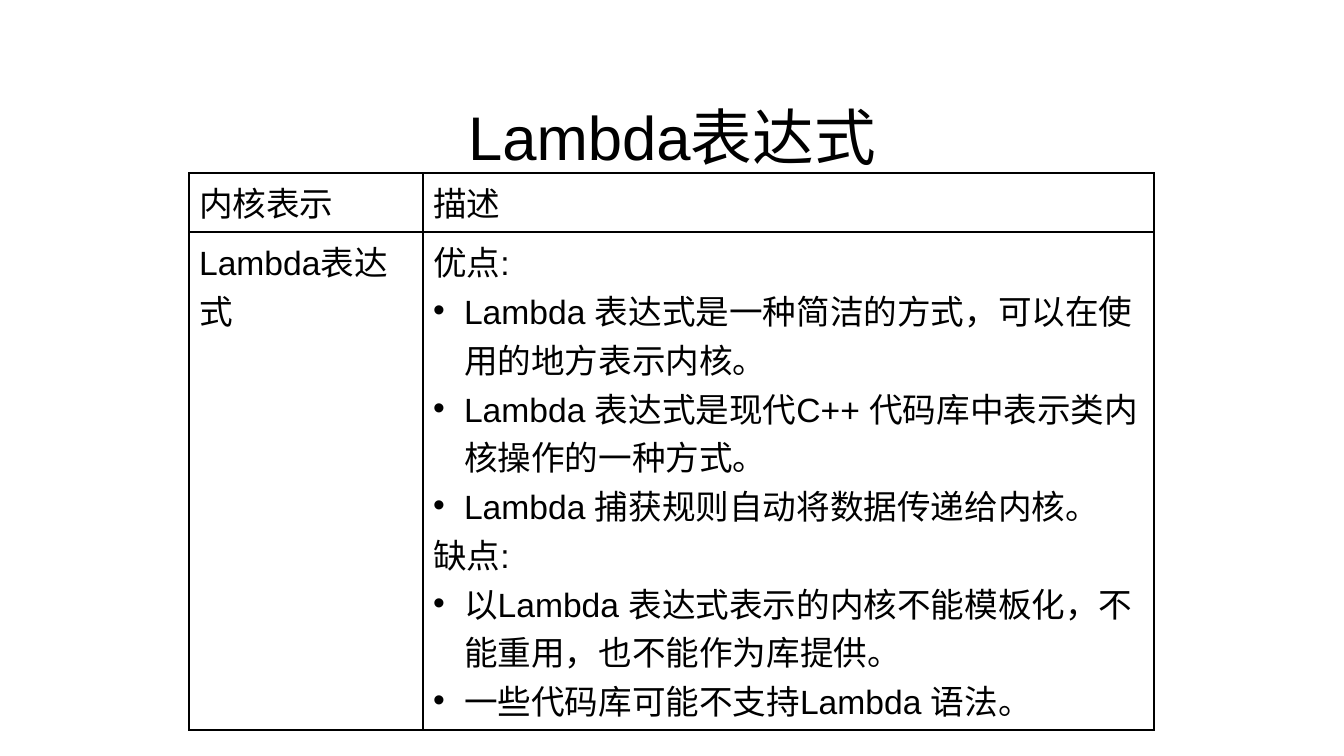
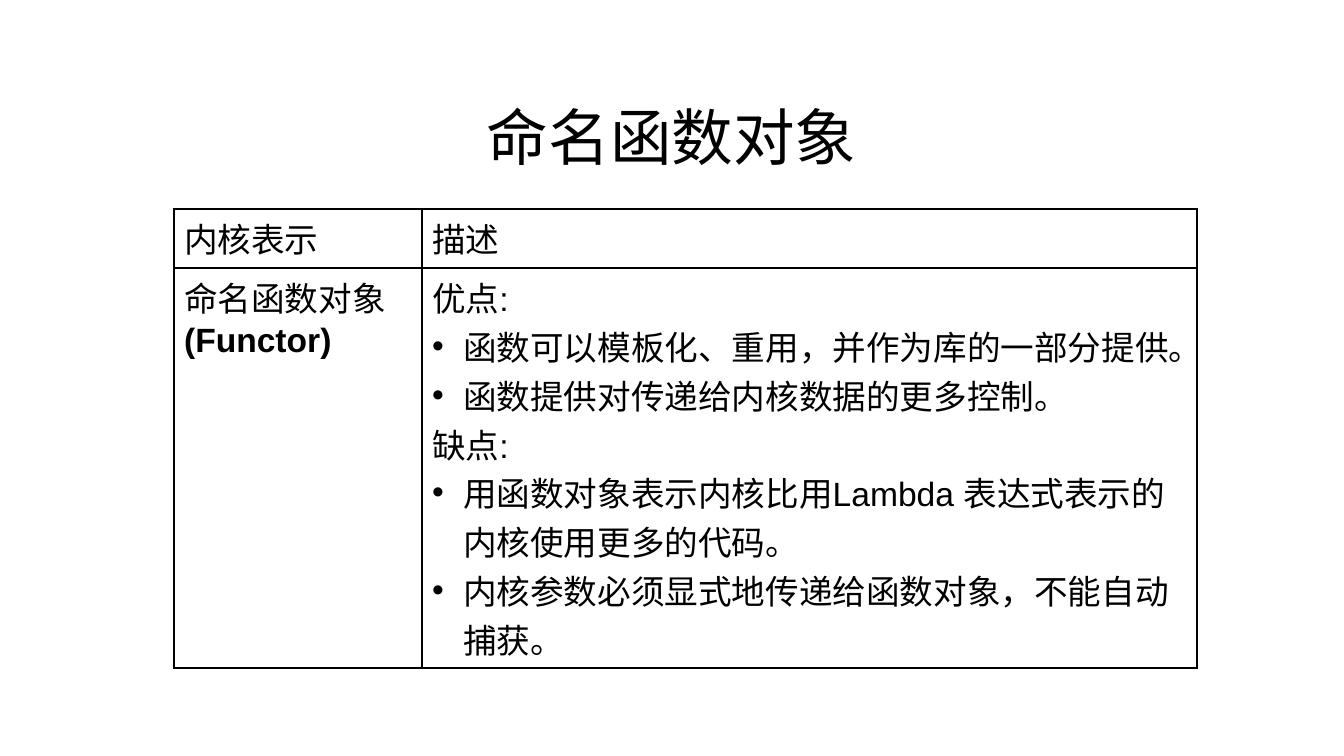
import pptx
import pptx.util
import pptx.dml.color
import pptx.enum.text
import pptx.oxml
import pptx.oxml.ns

SCALE = 914400 / 100.8
INK = "000000"
FONT = "Arial"
INDENT = 31
HEADINGS = ["内核表示", "描述"]
PROS, CONS = "优点:", "缺点:"
NAMESPACE = pptx.oxml.ns.nsdecls("a")


def px(length):
    return pptx.util.Emu(round(length * SCALE))


def add_text(para, text, size, bold=False):
    span = para.add_run()
    span.text = text
    span.font.name = FONT
    span.font.size = pptx.util.Pt(size)
    span.font.bold = bold
    span.font.color.rgb = pptx.dml.color.RGBColor.from_string(INK)


slides = [
    {
        "title": "Lambda表达式",
        "table": (189, 173),
        "columns": [234, 731],
        "rows": [59, 498],
        "kernel": [("Lambda表达式", False)],
        "pros": [
            "Lambda 表达式是一种简洁的方式，可以在使用的地方表示内核。",
            "Lambda 表达式是现代C++ 代码库中表示类内核操作的一种方式。",
            "Lambda 捕获规则自动将数据传递给内核。",
        ],
        "cons": [
            "以Lambda 表达式表示的内核不能模板化，不能重用，也不能作为库提供。",
            "一些代码库可能不支持Lambda 语法。",
        ],
    },
    {
        "title": "命名函数对象",
        "table": (174, 209),
        "columns": [248, 775],
        "rows": [59, 400],
        "kernel": [("命名函数对象", False), ("(Functor)", True)],
        "pros": [
            "函数可以模板化、重用，并作为库的一部分提供。",
            "函数提供对传递给内核数据的更多控制。",
        ],
        "cons": [
            "用函数对象表示内核比用Lambda 表达式表示的内核使用更多的代码。",
            "内核参数必须显式地传递给函数对象，不能自动捕获。",
        ],
    },
]

deck = pptx.Presentation()
deck.slide_width, deck.slide_height = px(1344), px(756)

for content in slides:
    page = deck.slides.add_slide(deck.slide_layouts[6])

    box = page.shapes.add_textbox(px(67), px(98), px(1210), px(75))
    box.text_frame.word_wrap = True
    box.text_frame.vertical_anchor = pptx.enum.text.MSO_ANCHOR.MIDDLE
    heading = box.text_frame.paragraphs[0]
    heading.alignment = pptx.enum.text.PP_ALIGN.CENTER
    add_text(heading, content["title"], 44)

    left, top = content["table"]
    columns, rows = content["columns"], content["rows"]
    table = page.shapes.add_table(
        2, 2, px(left), px(top), px(sum(columns)), px(sum(rows))
    ).table
    table.first_row = False
    table.horz_banding = False
    for column, width in zip(table.columns, columns):
        column.width = px(width)
    for row, height in zip(table.rows, rows):
        row.height = px(height)

    description = []
    for label, points in ((PROS, content["pros"]), (CONS, content["cons"])):
        description.append((label, False, False))
        description += [(point, False, True) for point in points]
    cell_texts = [[(text, False, False)] for text in HEADINGS]
    cell_texts.append([(text, bold, False) for text, bold in content["kernel"]])
    cell_texts.append(description)

    for cell, lines in zip(table.iter_cells(), cell_texts):
        properties = cell._tc.get_or_add_tcPr()
        for side in "LRTB":
            properties.append(pptx.oxml.parse_xml(
                f'<a:ln{side} {NAMESPACE} w="12700"><a:solidFill>'
                f'<a:srgbClr val="{INK}"/></a:solidFill></a:ln{side}>'
            ))
        cell.fill.background()
        for index, (text, bold, bulleted) in enumerate(lines):
            frame = cell.text_frame
            para = frame.add_paragraph() if index else frame.paragraphs[0]
            if bulleted:
                layout = para._p.get_or_add_pPr()
                layout.set("marL", str(px(INDENT)))
                layout.set("indent", str(-px(INDENT)))
                layout.append(pptx.oxml.parse_xml(f'<a:buFont {NAMESPACE} typeface="{FONT}"/>'))
                layout.append(pptx.oxml.parse_xml(f'<a:buChar {NAMESPACE} char="•"/>'))
            add_text(para, text, 24, bold)

deck.save("out.pptx")
